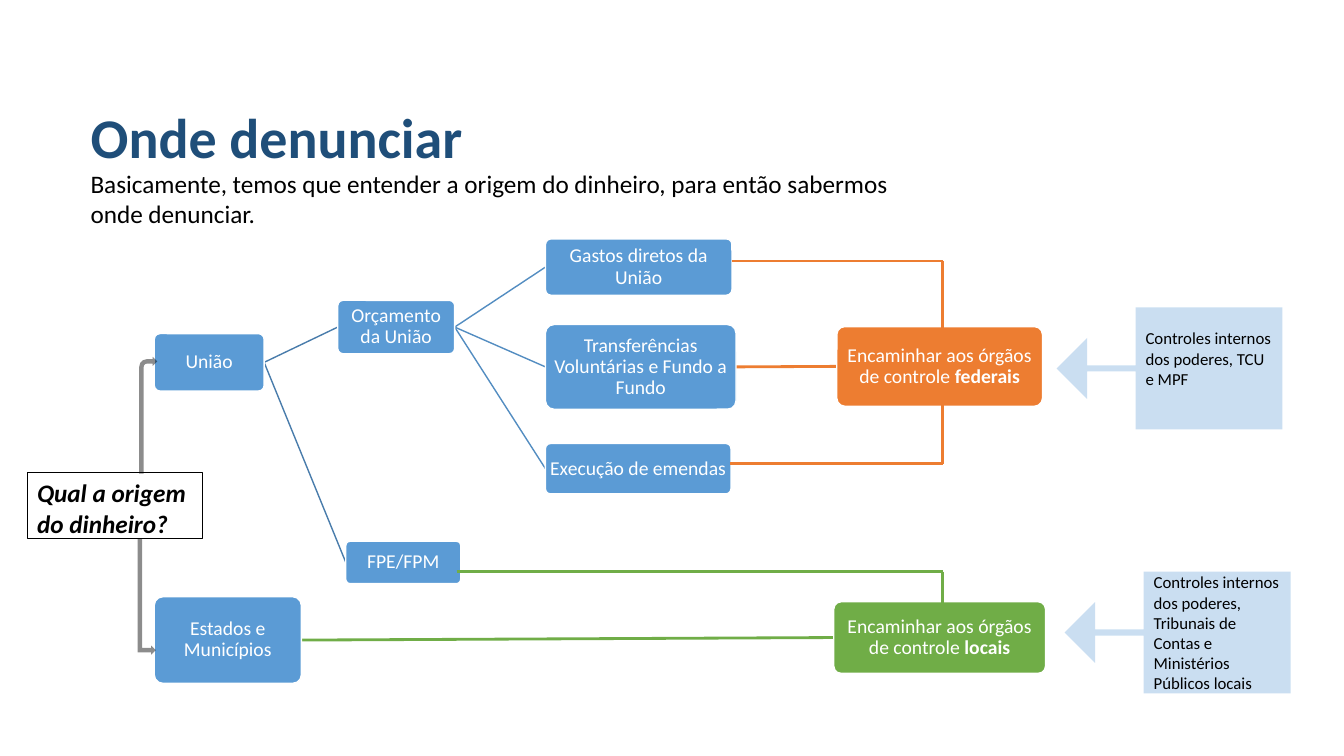
from dataclasses import dataclass

import pptx
import pptx.dml.color
import pptx.enum.shapes
import pptx.enum.text
import pptx.oxml
import pptx.oxml.ns
import pptx.util

Inches = pptx.util.Inches
PRESET = pptx.enum.shapes.MSO_SHAPE
ALIGN = pptx.enum.text.PP_ALIGN
ANCHOR = pptx.enum.text.MSO_ANCHOR


@dataclass(frozen=True)
class Theme:
    font: str = "Calibri"
    heading: str = "1F4E79"
    ink: str = "000000"
    paper: str = "FFFFFF"
    blue: str = "5B9BD5"
    orange: str = "ED7D31"
    green: str = "70AD47"
    first_branch: str = "497CAB"
    second_branch: str = "538DC1"
    title_size: int = 40
    lead_size: int = 18
    box_size: int = 14
    note_size: int = 12


THEME = Theme()


@dataclass(frozen=True)
class Box:
    left: float
    top: float
    width: float
    height: float
    text: str = ""
    colour: str = THEME.blue
    bold_end: str = ""

    @property
    def right(self) -> float:
        return self.left + self.width

    @property
    def middle(self) -> float:
        return self.top + self.height / 2


@dataclass(frozen=True)
class Link:
    source: str
    target: str
    colour: str
    weight: float


@dataclass(frozen=True)
class Elbow:
    """A level line from a box to the trunk, then a vertical one to end_y."""
    start_x: float
    y: float
    end_y: float
    colour: str


@dataclass(frozen=True)
class BentArrow:
    preset: PRESET
    place: Box
    rotation: int


@dataclass(frozen=True)
class Callout:
    place: Box
    bottom_inset: float


TRUNK_X = 9.35
ROUTING = "Encaminhar aos órgãos de controle "

BOXES = {
    "união": Box(1.53, 3.31, 1.09, 0.57, "União"),
    "orçamento": Box(3.35, 2.98, 1.16, 0.53, "Orçamento da União"),
    "gastos": Box(5.41, 2.37, 1.85, 0.56, "Gastos diretos da União"),
    "transferências": Box(5.41, 3.22, 1.89, 0.84, "Transferências Voluntárias e Fundo a Fundo"),
    "emendas": Box(5.41, 4.4, 1.84, 0.5, "Execução de emendas"),
    "fpe": Box(3.43, 5.37, 1.14, 0.42, "FPE/FPM"),
    "estados": Box(1.53, 5.92, 1.46, 0.86, "Estados e Municípios"),
    "federais": Box(8.3, 3.24, 2.04, 0.79, ROUTING, THEME.orange, "federais"),
    "locais": Box(8.27, 5.97, 2.1, 0.71, ROUTING, THEME.green, "locais"),
}
LINKS = [
    Link("união", "orçamento", THEME.first_branch, 1),
    Link("união", "fpe", THEME.first_branch, 1),
    Link("orçamento", "gastos", THEME.second_branch, 1),
    Link("orçamento", "transferências", THEME.second_branch, 1),
    Link("orçamento", "emendas", THEME.second_branch, 1),
    Link("transferências", "federais", THEME.orange, 2),
    Link("estados", "locais", THEME.green, 2),
]
ELBOWS = [
    Elbow(7.26, 2.59, 3.3, THEME.orange),
    Elbow(7.24, 4.6, 3.92, THEME.orange),
    Elbow(4.53, 5.67, 6.14, THEME.green),
]
BENT_ARROWS = [
    BentArrow(PRESET.BENT_ARROW, Box(1.38, 3.54, 0.18, 1.16), 0),
    BentArrow(PRESET.BENT_UP_ARROW, Box(0.88, 5.83, 1.15, 0.18), 90),
]
CALLOUTS = [
    Callout(Box(10.56, 5.67, 2.24, 1.21, "Controles internos dos poderes, Tribunais de "
                "Contas e Ministérios Públicos locais"), 0.05),
    Callout(Box(10.48, 3.05, 2.24, 1.21, "Controles internos dos poderes, TCU e MPF"), 0.25),
]


def rgb(colour: str) -> pptx.dml.color.RGBColor:
    return pptx.dml.color.RGBColor.from_string(colour)


def frame(place: Box) -> tuple:
    return tuple(Inches(v) for v in (place.left, place.top, place.width, place.height))


def format_text(text_frame, size: int, colour: str, align=ALIGN.LEFT,
                anchor=ANCHOR.MIDDLE, spacing: float = 1.0, bold=None) -> None:
    text_frame.word_wrap = True
    text_frame.auto_size = pptx.enum.text.MSO_AUTO_SIZE.NONE
    text_frame.vertical_anchor = anchor
    for paragraph in text_frame.paragraphs:
        paragraph.alignment = align
        paragraph.line_spacing = spacing
        for run in paragraph.runs:
            run.font.name = THEME.font
            run.font.size = pptx.util.Pt(size)
            run.font.color.rgb = rgb(colour)
            run.font.bold = bold


def add_filled(slide, preset, place: Box, colour: str, opacity: int = 100):
    """Add a shape without outline or shadow; opacity is a percentage."""
    shape = slide.shapes.add_shape(preset, *frame(place))
    shape.shadow.inherit = False
    shape.line.fill.background()
    shape.fill.solid()
    shape.fill.fore_color.rgb = rgb(colour)
    if opacity < 100:
        fill_colour = shape.fill._xPr.find(".//" + pptx.oxml.ns.qn("a:srgbClr"))
        alpha = pptx.oxml.parse_xml(f"<a:alpha {pptx.oxml.ns.nsdecls('a')} val='{opacity * 1000}'/>")
        fill_colour.append(alpha)
    return shape


def add_line(slide, start: tuple, end: tuple, colour: str, weight: float) -> None:
    line = slide.shapes.add_connector(pptx.enum.shapes.MSO_CONNECTOR.STRAIGHT,
                                      *(Inches(v) for v in start + end))
    line.line.color.rgb = rgb(colour)
    line.line.width = pptx.util.Pt(weight)
    line._element.spPr.append(pptx.oxml.parse_xml(f"<a:effectLst {pptx.oxml.ns.nsdecls('a')}/>"))


def add_box(slide, box: Box) -> None:
    shape = add_filled(slide, PRESET.ROUNDED_RECTANGLE, box, box.colour)
    shape.adjustments[0] = 0.1
    shape.line.color.rgb = rgb(THEME.paper)
    shape.line.width = pptx.util.Pt(1)
    text = shape.text_frame
    text.margin_left = text.margin_right = text.margin_top = text.margin_bottom = Inches(0.01)
    text.text = box.text
    if box.bold_end:
        text.paragraphs[0].add_run().text = box.bold_end
    format_text(text, THEME.box_size, THEME.paper, ALIGN.CENTER, spacing=0.9)
    if box.bold_end:
        text.paragraphs[0].runs[-1].font.bold = True


def add_heading(slide) -> None:
    title = slide.shapes.title
    title.left, title.top, title.width, title.height = frame(Box(0.8, 1.03, 5.04, 0.73))
    title.text_frame.text = "Onde denunciar"
    format_text(title.text_frame, THEME.title_size, THEME.heading, spacing=0.9, bold=True)

    lead = slide.shapes.add_textbox(*frame(Box(0.8, 1.62, 8.17, 0.71)))
    lead.text_frame.text = ("Basicamente, temos que entender a origem do dinheiro, "
                            "para então sabermos onde denunciar.")
    format_text(lead.text_frame, THEME.lead_size, THEME.ink, anchor=ANCHOR.TOP)


def add_question(slide) -> None:
    question = add_filled(slide, PRESET.RECTANGLE, Box(0.27, 4.69, 1.74, 0.65), THEME.paper)
    question.fill.background()
    question.line.color.rgb = rgb(THEME.ink)
    question.line.width = pptx.util.Pt(0.75)
    question.text_frame.text = "Qual a origem do dinheiro?"
    format_text(question.text_frame, THEME.lead_size, THEME.ink, anchor=ANCHOR.TOP, bold=True)
    question.text_frame.paragraphs[0].runs[0].font.italic = True
    for arrow in BENT_ARROWS:
        add_filled(slide, arrow.preset, arrow.place, THEME.ink, 45).rotation = arrow.rotation


def add_callout(slide, callout: Callout) -> None:
    shape = add_filled(slide, PRESET.LEFT_ARROW_CALLOUT, callout.place, THEME.blue, 32)
    for index, value in enumerate((0.05, 0.25, 0.25, 0.65)):
        shape.adjustments[index] = value
    shape.text_frame.text = callout.place.text
    shape.text_frame.margin_bottom = Inches(callout.bottom_inset)
    format_text(shape.text_frame, THEME.note_size, THEME.ink)


def main() -> None:
    deck = pptx.Presentation()
    deck.slide_width, deck.slide_height = Inches(13.33), Inches(7.5)
    slide = deck.slides.add_slide(deck.slide_layouts.get_by_name("Title Only"))
    add_heading(slide)
    for link in LINKS:
        source, target = BOXES[link.source], BOXES[link.target]
        add_line(slide, (source.right, source.middle), (target.left, target.middle),
                 link.colour, link.weight)
    for box in BOXES.values():
        add_box(slide, box)
    add_question(slide)
    for elbow in ELBOWS:
        corner = (TRUNK_X, elbow.y)
        add_line(slide, (elbow.start_x, elbow.y), corner, elbow.colour, 2)
        add_line(slide, corner, (TRUNK_X, elbow.end_y), elbow.colour, 2)
    for callout in CALLOUTS:
        add_callout(slide, callout)
    deck.save("out.pptx")


if __name__ == "__main__":
    main()
